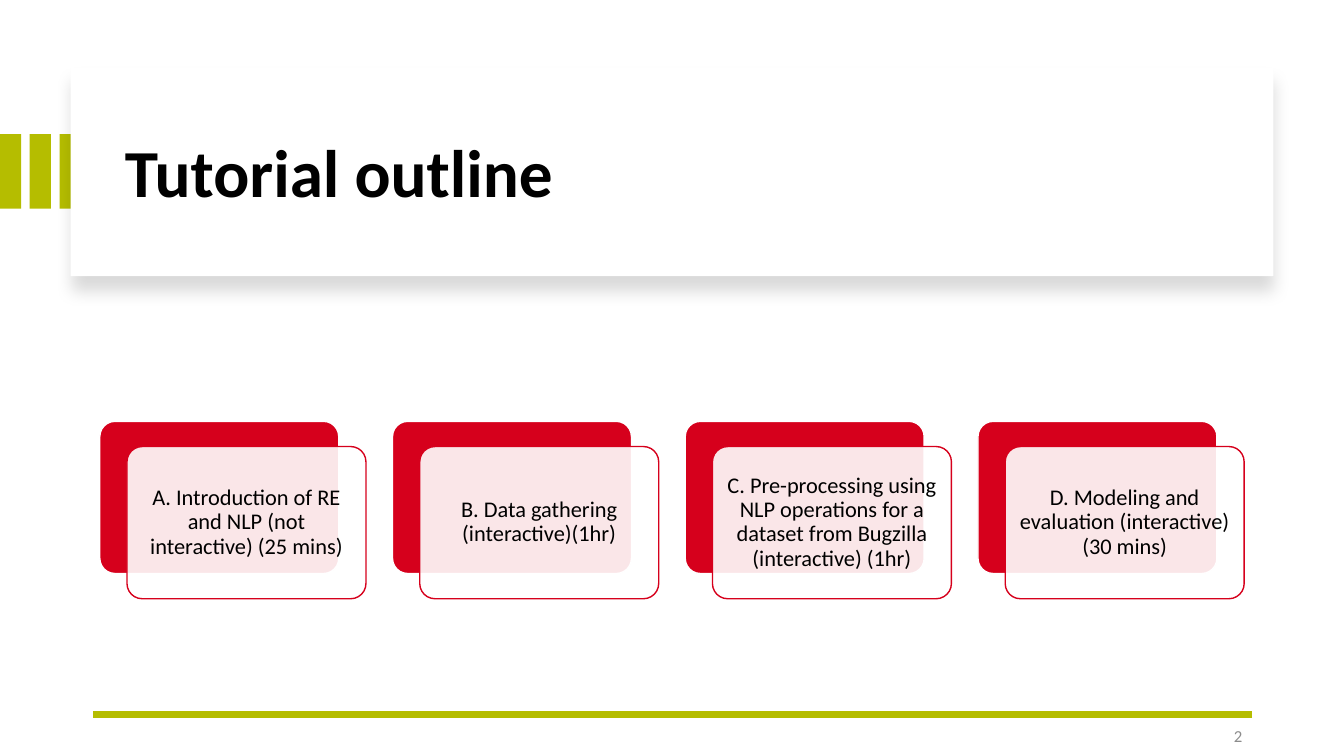
from lxml.etree import SubElement
from pptx import Presentation
from pptx.dml.color import RGBColor
from pptx.enum.shapes import MSO_CONNECTOR, MSO_SHAPE
from pptx.enum.text import MSO_ANCHOR, PP_ALIGN
from pptx.oxml.ns import qn
from pptx.util import Emu, Pt

TITLE = "Tutorial outline"
PAGE = "2"
STEPS = [
    "A. Introduction of RE and NLP (not interactive) (25 mins)",
    "B. Data gathering (interactive)(1hr)",
    "C. Pre-processing using NLP operations for a dataset from Bugzilla (interactive) (1hr)",
    "D. Modeling and evaluation (interactive) (30 mins)",
]
FONT = "Calibri"
LIME, RED, WHITE, BLACK, GRAY = "B5BD00", "D6001C", "FFFFFF", "000000", "8C8C8C"
WIDE, HIGH = 1333, 750
BAR = (21, 74)
BAR_TOP, BAR_STEP, BARS = 133, 29.5, 3
PANEL = (70, 67, 1193, 207)
CARD = (237, 151)
CARD_LEFT, CARD_TOP, CARD_STEP = 99, 418, 290.33
SHIFT = (27, 25)


def px(n):
    return Emu(round(n * 9144))


def color(code):
    return RGBColor.from_string(code)


def add_box(kind, box, fill, line=None):
    shape = slide.shapes.add_shape(kind, *map(px, box))
    shape.shadow.inherit = False
    shape.fill.solid()
    shape.fill.fore_color.rgb = color(fill)
    if line:
        shape.line.color.rgb = color(line)
        shape.line.width = Pt(1)
    else:
        shape.line.fill.background()
    return shape


def add_card(left, top, fill, line):
    card = add_box(MSO_SHAPE.ROUNDED_RECTANGLE, (left, top, *CARD), fill, line)
    card.adjustments[0] = 0.1
    return card


def write(shape, text, size, tint, align, bold=False, space=1.0):
    frame = shape.text_frame
    frame.word_wrap = True
    frame.vertical_anchor = MSO_ANCHOR.MIDDLE
    para = frame.paragraphs[0]
    para.alignment = align
    para.line_spacing = space
    run = para.add_run()
    run.text = text
    run.font.name = FONT
    run.font.size = Pt(size)
    run.font.bold = bold
    run.font.color.rgb = color(tint)
    return frame


def add_text(box, *style, **more):
    return write(slide.shapes.add_textbox(*map(px, box)), *style, **more)


def set_alpha(parent, share):
    SubElement(parent, qn("a:alpha"), val=str(share * 1000))


deck = Presentation()
deck.slide_width, deck.slide_height = px(WIDE), px(HIGH)
slide = deck.slides.add_slide(deck.slide_layouts[6])

for i in range(BARS):
    add_box(MSO_SHAPE.RECTANGLE, (i * BAR_STEP, BAR_TOP, *BAR), LIME)

panel = add_box(MSO_SHAPE.RECTANGLE, PANEL, WHITE)
effects = panel.element.spPr.find(qn("a:effectLst"))
shade = SubElement(effects, qn("a:outerShdw"), blurRad=str(Pt(11)),
                   dist=str(Pt(10)), dir="5400000", algn="ctr", rotWithShape="0")
set_alpha(SubElement(shade, qn("a:srgbClr"), val=BLACK), 15)
add_text((114, 89, 1113, 170), TITLE, 48, BLACK, PP_ALIGN.LEFT, bold=True, space=0.9)

rule = slide.shapes.add_connector(MSO_CONNECTOR.STRAIGHT, px(1242), px(709), px(92), px(709))
rule.line.color.rgb = color(LIME)
rule.line.width = Pt(4.5)
SubElement(rule.element.spPr, qn("a:effectLst"))
add_text((942, 710, 300, 40), PAGE, 12, GRAY, PP_ALIGN.RIGHT)

for i, step in enumerate(STEPS):
    left = CARD_LEFT + i * CARD_STEP
    add_card(left, CARD_TOP, RED, WHITE)
    front = add_card(left + SHIFT[0], CARD_TOP + SHIFT[1], WHITE, RED)
    set_alpha(front.element.spPr.find(qn("a:solidFill"))[0], 90)
    frame = write(front, step, 16, BLACK, PP_ALIGN.CENTER, space=0.9)
    frame.margin_left = frame.margin_right = px(7)
    frame.margin_top = frame.margin_bottom = px(7)

deck.save("out.pptx")
